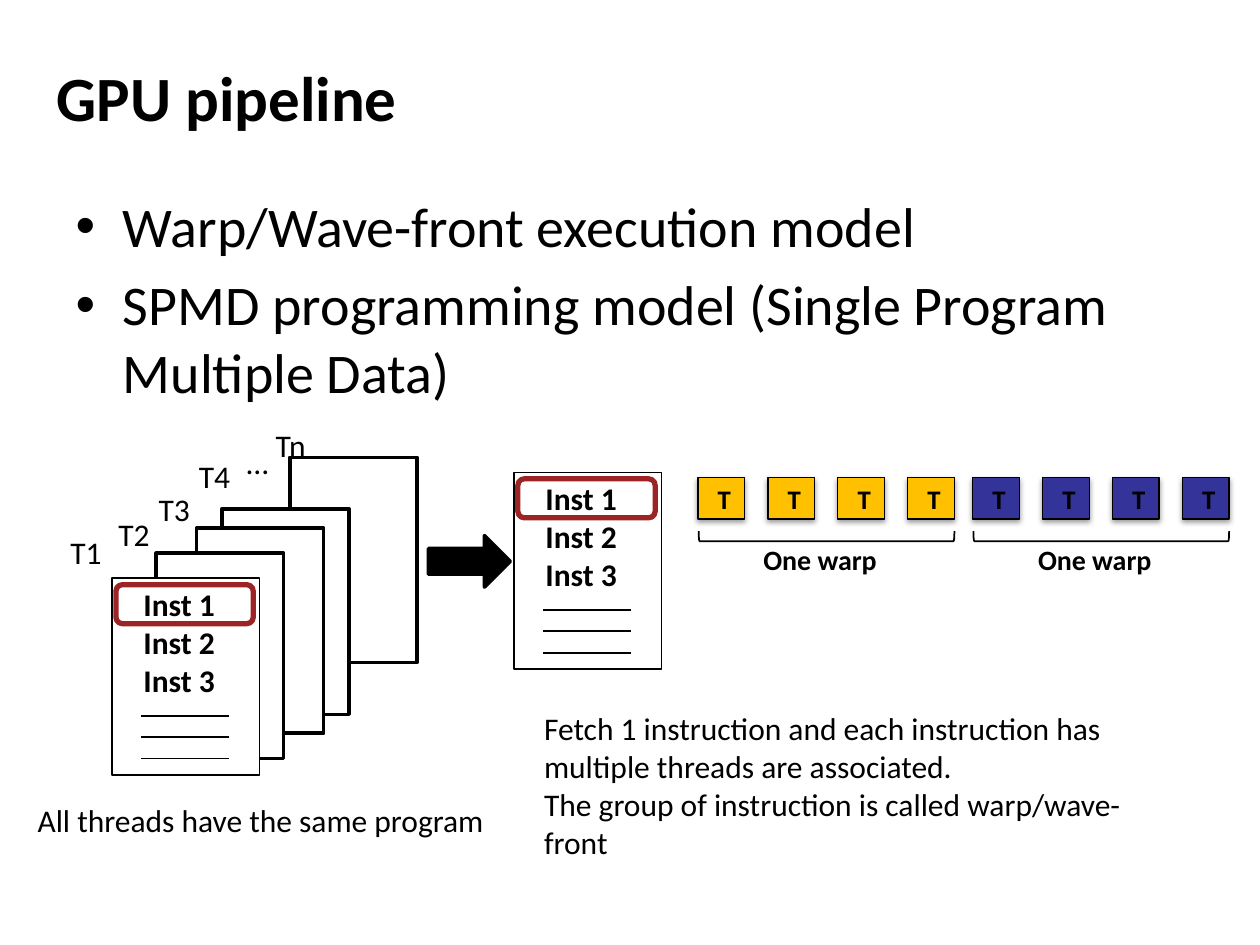
from typing import NamedTuple

from lxml.etree import SubElement
from pptx import Presentation
from pptx.dml.color import RGBColor
from pptx.enum.shapes import MSO_CONNECTOR as Conn, MSO_SHAPE as Kind
from pptx.enum.text import MSO_ANCHOR as Anchor, MSO_AUTO_SIZE as Auto, PP_ALIGN as Align
from pptx.oxml.ns import qn
from pptx.util import Inches, Pt

FONT, BLACK, WHITE, RED = "Calibri", "000000", "FFFFFF", "9C2424"


class Label(NamedTuple):
    text: str
    x: float
    y: float
    w: float


class Warp(NamedTuple):
    x: float
    fill: str


SHEETS = [(2.3, 3.63), (1.76, 4.04), (1.56, 4.19), (1.24, 4.39)]
CARDS = [(0.89, 4.59), (4.08, 3.75)]
LABELS = [
    Label("T1", 0.46, 4.18, 0.45),
    Label("T2", 0.84, 4.04, 0.45),
    Label("T3", 1.16, 3.84, 0.45),
    Label("T4", 1.48, 3.58, 0.45),
    Label("…", 1.86, 3.47, 0.38),
    Label("Tn", 2.09, 3.33, 0.44),
    Label("All threads have the same program", 0.2, 6.31, 3.84),
]
WARPS = [Warp(5.54, "FFC000"), Warp(7.72, "333399")]
NOTES = [
    "Fetch 1 instruction and each instruction has multiple threads are associated.",
    "The group of instruction is called warp/wave-front",
]

deck = Presentation()
deck.slide_width, deck.slide_height = Inches(10), Inches(7.5)
slide = deck.slides.add_slide(deck.slide_layouts[1])
shapes = slide.shapes


def color(value: str) -> RGBColor:
    return RGBColor.from_string(value)


def place(shape, x: float, y: float, w: float, h: float) -> None:
    shape.left, shape.top = Inches(x), Inches(y)
    shape.width, shape.height = Inches(w), Inches(h)


def write(frame, lines: list[str], size: float, bold: bool = False, align=None) -> None:
    for i, line in enumerate(lines):
        para = frame.paragraphs[0] if i == 0 else frame.add_paragraph()
        para.alignment = align
        run = para.add_run()
        run.text = line
        font = run.font
        font.name, font.size, font.bold = FONT, Pt(size), bold
        font.color.rgb = color(BLACK)


def text(lines: list[str], x: float, y: float, w: float, h: float = 0.4,
         size: float = 18, bold: bool = False, wrap: bool = True, align=None) -> None:
    box = shapes.add_textbox(Inches(x), Inches(y), Inches(w), Inches(h))
    frame = box.text_frame
    frame.word_wrap, frame.auto_size = wrap, Auto.SHAPE_TO_FIT_TEXT
    write(frame, lines, size, bold, align)


def block(kind, x: float, y: float, w: float, h: float,
          fill: str | None = None, line: str = BLACK, weight: float = 1):
    shape = shapes.add_shape(kind, Inches(x), Inches(y), Inches(w), Inches(h))
    shape.shadow.inherit = False
    if fill:
        shape.fill.solid()
        shape.fill.fore_color.rgb = color(fill)
    else:
        shape.fill.background()
    shape.line.color.rgb = color(line)
    shape.line.width = Pt(weight)
    return shape


def rule(x: float, y: float, w: float) -> None:
    line = shapes.add_connector(Conn.STRAIGHT, Inches(x), Inches(y), Inches(x + w), Inches(y))
    line.line.color.rgb = color(BLACK)
    line.line.width = Pt(1)
    SubElement(line._element.spPr, qn("a:effectLst"))


def shade(shape) -> None:
    """Soft shadow straight below the shape."""
    effects = shape._element.spPr.find(qn("a:effectLst"))
    outer = SubElement(effects, qn("a:outerShdw"), blurRad=str(Pt(3.1)), dist=str(Pt(1.6)),
                       dir="5400000", algn="ctr", rotWithShape="0")
    tint = SubElement(outer, qn("a:srgbClr"), val=BLACK)
    SubElement(tint, qn("a:alpha"), val="38000")


def card(x: float, y: float) -> None:
    """Program listing with its first instruction marked."""
    block(Kind.RECTANGLE, x, y, 1.17, 1.56, WHITE)
    for i in range(3):
        text([f"Inst {i + 1}"], x + 0.15, y + 0.305 * i, 1.02, bold=True)
        rule(x + 0.23, y + 1.09 + 0.17 * i, 0.7)
    block(Kind.ROUNDED_RECTANGLE, x + 0.03, y + 0.05, 1.09, 0.31, line=RED, weight=3)


def warp(item: Warp) -> None:
    """Four threads above a bracket and its caption."""
    for i in range(4):
        cell = block(Kind.RECTANGLE, item.x + 0.555 * i, 3.79, 0.37, 0.33, item.fill, weight=0.75)
        shade(cell)
        frame = cell.text_frame
        frame.word_wrap, frame.vertical_anchor = False, Anchor.MIDDLE
        write(frame, [" T"], 15.3, True, Align.CENTER)
    bracket = block(Kind.RIGHT_BRACKET, item.x + 0.98, 3.24, 0.08, 2.03)
    bracket.rotation = 90
    text(["One warp"], item.x + 0.42, 4.26, 1.35, 0.37, 16, True)


# Title and bullets
title, body = shapes.title, slide.placeholders[1]
place(title, 0.35, 0.35, 9, 0.83)
title.text_frame.vertical_anchor = Anchor.MIDDLE
write(title.text_frame, ["GPU pipeline"], 36, True, Align.LEFT)
place(body, 0.5, 1.47, 9.13, 5.48)
write(body.text_frame, [
    "Warp/Wave-front execution model",
    "SPMD programming model (Single Program Multiple Data)",
], 32)

# Stacked threads and program cards
for x, y in SHEETS:
    block(Kind.RECTANGLE, x, y, 1.01, 1.63, WHITE, weight=2)
for x, y in CARDS:
    card(x, y)
block(Kind.RIGHT_ARROW, 3.4, 4.25, 0.65, 0.41, BLACK, weight=2)

# Thread names and caption
for label in LABELS:
    text([label.text], label.x, label.y, label.w, wrap=False)

# Warps and explanation
for item in WARPS:
    warp(item)
text(NOTES, 4.22, 5.58, 5.13, 1.31)

deck.save("out.pptx")
